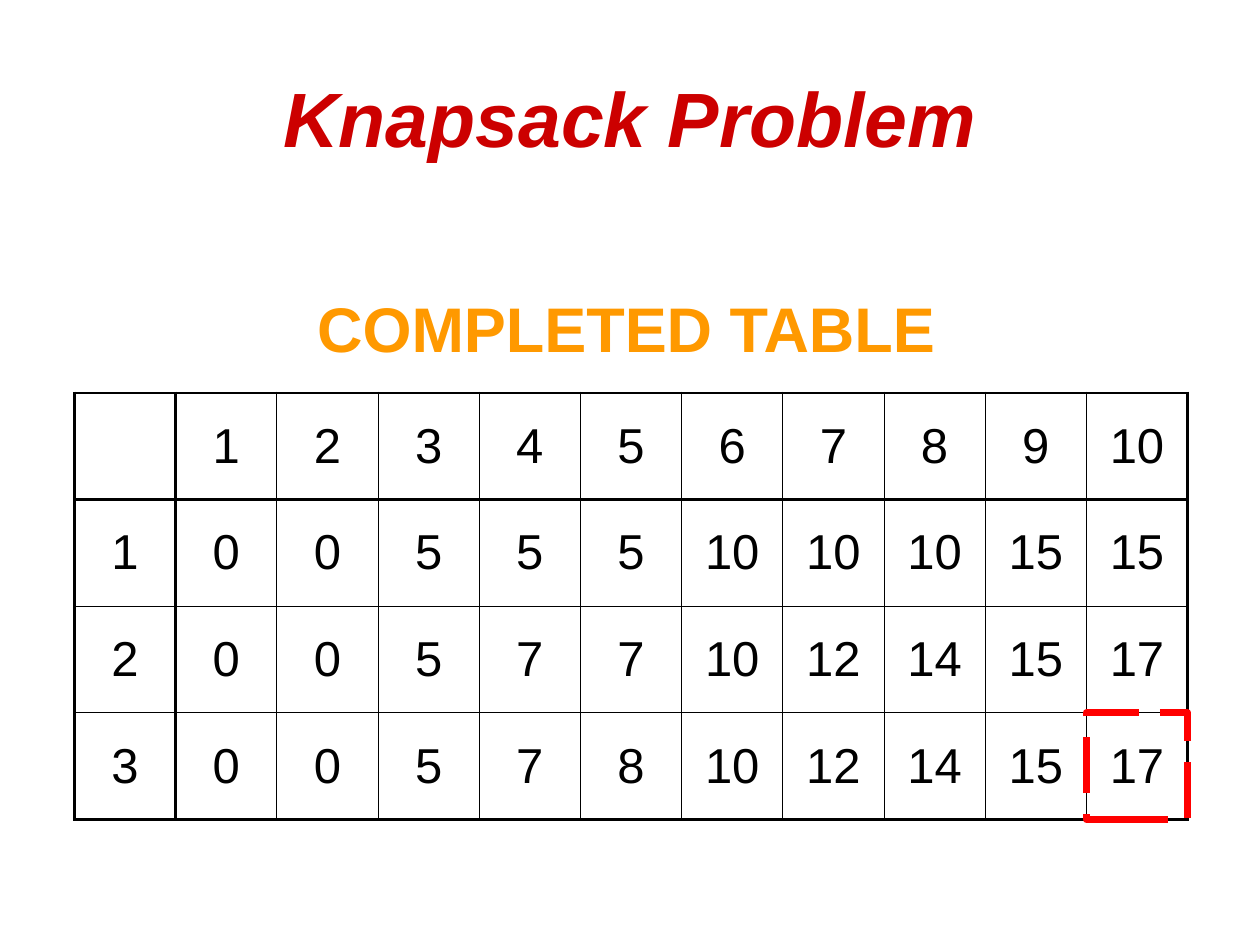
from lxml.etree import SubElement
from pptx import Presentation
from pptx.dml.color import RGBColor
from pptx.enum.dml import MSO_LINE
from pptx.enum.shapes import MSO_SHAPE
from pptx.enum.text import MSO_ANCHOR, PP_ALIGN
from pptx.oxml.ns import qn
from pptx.util import Cm, Pt


def style(paragraph, size, color, bold=False, italic=False):
    paragraph.alignment = PP_ALIGN.CENTER
    font = paragraph.font
    font.name, font.size, font.bold, font.italic = "Arial", Pt(size), bold, italic
    font.color.rgb = RGBColor.from_string(color)


def add_border(cell, side, width):
    """Draw one black cell border; side is L, R, T or B."""
    line = SubElement(cell._tc.get_or_add_tcPr(), qn(f"a:ln{side}"), w=str(Pt(width)))
    fill = SubElement(line, qn("a:solidFill"))
    SubElement(fill, qn("a:srgbClr"), val="000000")


prs = Presentation()
prs.slide_width, prs.slide_height = Cm(25.4), Cm(19.05)
slide = prs.slides.add_slide(prs.slide_layouts[6])

title = slide.shapes.add_textbox(Cm(1.27), Cm(0.76), Cm(22.86), Cm(3.18)).text_frame
title.word_wrap = True
title.vertical_anchor = MSO_ANCHOR.MIDDLE
title.text = "Knapsack Problem"
style(title.paragraphs[0], 44, "CC0000", bold=True, italic=True)

# First row: capacities; first column: item numbers
values = [
    ["", 1, 2, 3, 4, 5, 6, 7, 8, 9, 10],
    [1, 0, 0, 5, 5, 5, 10, 10, 10, 15, 15],
    [2, 0, 0, 5, 7, 7, 10, 12, 14, 15, 17],
    [3, 0, 0, 5, 7, 8, 10, 12, 14, 15, 17],
]
row_count, column_count = len(values), len(values[0])
left, top = Cm(1.5), Cm(7.92)
cell_width, cell_height = Cm(2.04), Cm(2.15)
table = slide.shapes.add_table(
    row_count, column_count, left, top,
    cell_width * column_count, cell_height * row_count).table
table.first_row = table.horz_banding = False
for column in table.columns:
    column.width = cell_width
for row in table.rows:
    row.height = cell_height

for r, row_values in enumerate(values):
    for c, value in enumerate(row_values):
        cell = table.cell(r, c)
        cell.vertical_anchor = MSO_ANCHOR.MIDDLE
        cell.text = str(value)
        style(cell.text_frame.paragraphs[0], 28, "000000")
        cell.text_frame.paragraphs[0].space_before = Pt(7)
        # The outer frame and the header rules are thicker
        for side, edge, last in (("L", c, column_count), ("R", c + 1, column_count),
                                 ("T", r, row_count), ("B", r + 1, row_count)):
            add_border(cell, side, 1.47 if edge in (0, 1, last) else 0.45)
        cell.fill.background()

heading = slide.shapes.add_textbox(Cm(1.5), Cm(5.72), Cm(22.25), Cm(2.49)).text_frame
heading.word_wrap = True
heading.text = "COMPLETED TABLE"
style(heading.paragraphs[0], 36, "FF9900", bold=True)
heading.paragraphs[0].space_before = Pt(9)

answer_frame = slide.shapes.add_shape(
    MSO_SHAPE.RECTANGLE,
    left + cell_width * (column_count - 1), top + cell_height * (row_count - 1),
    cell_width, cell_height)
answer_frame.shadow.inherit = False
answer_frame.fill.background()
answer_frame.line.color.rgb = RGBColor.from_string("FF0000")
answer_frame.line.width = Pt(4)
answer_frame.line.dash_style = MSO_LINE.LONG_DASH

prs.save("out.pptx")
